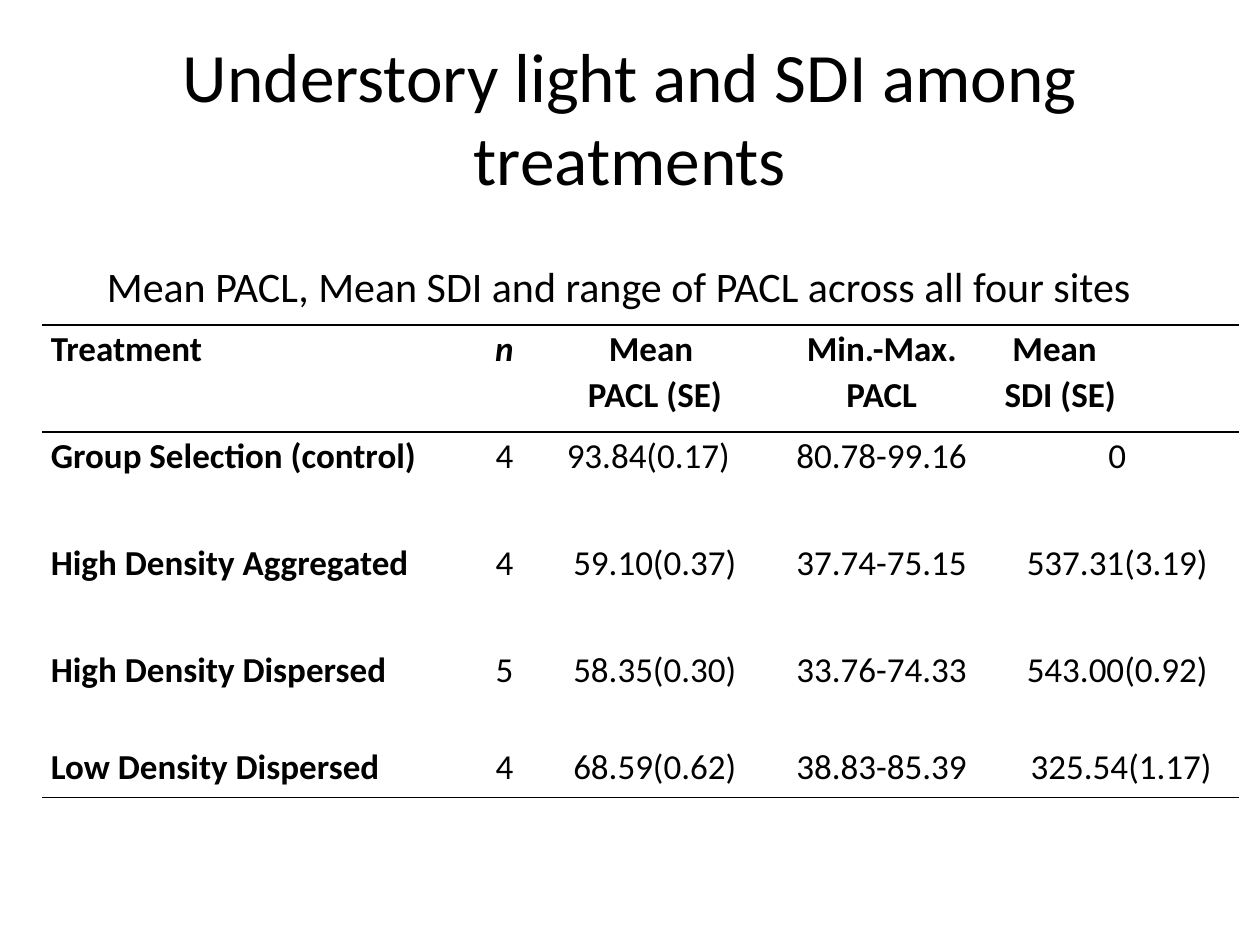
from dataclasses import dataclass

from lxml.etree import SubElement
from pptx import Presentation
from pptx.dml.color import RGBColor
from pptx.enum.text import MSO_ANCHOR as Anchor, MSO_AUTO_SIZE as AutoSize, PP_ALIGN as Align
from pptx.oxml.ns import qn
from pptx.util import Pt

COLORS = {"ink": "000000", "paper": "FFFFFF"}
FONT = "Calibri"
TABLE_SPACING = 1.07
COLUMN_WIDTHS = (242.64, 43.2, 128.88, 130.32, 138.96)
ROW_HEIGHTS = (61.2, 61.2, 61.2, 55.44, 30.96)


@dataclass(frozen=True)
class Cell:
    text: str
    align: Align = Align.CENTER
    bold: bool = False
    italic: bool = False
    indents: tuple[float, ...] = ()


@dataclass(frozen=True)
class Treatment:
    name: str
    count: str
    light: Cell
    light_range: str
    density: Cell

    def cells(self) -> list[Cell]:
        return [Cell(self.name, Align.LEFT, bold=True), Cell(self.count), self.light,
                Cell(self.light_range), self.density]


HEADER = [
    Cell("Treatment", Align.LEFT, bold=True),
    Cell("n", bold=True, italic=True),
    Cell("Mean \nPACL (SE)", bold=True),
    Cell("Min.-Max. PACL", bold=True),
    Cell("Mean\nSDI (SE)", Align.LEFT, bold=True, indents=(4.5, 0)),
]
TREATMENTS = [
    Treatment("Group Selection (control)", "4",
              Cell("93.84(0.17)", Align.LEFT, indents=(9,)), "80.78-99.16", Cell("0")),
    Treatment("High Density Aggregated", "4",
              Cell("59.10(0.37)"), "37.74-75.15", Cell("537.31(3.19)")),
    Treatment("High Density Dispersed", "5",
              Cell("58.35(0.30)"), "33.76-74.33", Cell("543.00(0.92)")),
    Treatment("Low Density Dispersed", "4",
              Cell("68.59(0.62)"), "38.83-85.39", Cell("325.54(1.17)", indents=(4.5,))),
]


def write_text(frame, text: str, *, size: float, align=Align.LEFT, bold=False,
               italic=False, spacing=1.0, indents=()) -> None:
    for index, line in enumerate(text.split("\n")):
        paragraph = frame.paragraphs[0] if index == 0 else frame.add_paragraph()
        paragraph.alignment = align
        paragraph.line_spacing = spacing
        paragraph.space_before = paragraph.space_after = Pt(0)
        if index < len(indents) and indents[index]:
            paragraph._p.get_or_add_pPr().set("marL", str(Pt(indents[index])))
        run = paragraph.add_run()
        run.text = line
        run.font.name = FONT
        run.font.size = Pt(size)
        run.font.bold = bold
        run.font.italic = italic
        run.font.color.rgb = RGBColor.from_string(COLORS["ink"])


def set_borders(table_cell, ruled_edges: str) -> None:
    """Rule the edges named by letter (T, B) and clear the others."""
    properties = table_cell._tc.get_or_add_tcPr()
    for position, edge in enumerate("LRTB"):
        line = SubElement(properties, qn(f"a:ln{edge}"), w=str(Pt(1)))
        if edge in ruled_edges:
            fill = SubElement(line, qn("a:solidFill"))
            SubElement(fill, qn("a:srgbClr"), val=COLORS["ink"])
        else:
            SubElement(line, qn("a:noFill"))
        properties.insert(position, line)  # borders precede the fill


def draw_cell(table_cell, cell: Cell, ruled_edges: str) -> None:
    table_cell.margin_left = table_cell.margin_right = Pt(5.04)
    table_cell.margin_top = table_cell.margin_bottom = Pt(0)
    table_cell.vertical_anchor = Anchor.TOP
    table_cell.fill.solid()
    table_cell.fill.fore_color.rgb = RGBColor.from_string(COLORS["paper"])
    set_borders(table_cell, ruled_edges)
    write_text(table_cell.text_frame, cell.text, size=20, align=cell.align,
               bold=cell.bold, italic=cell.italic, spacing=TABLE_SPACING,
               indents=cell.indents)


def draw_table(slide, rows: list[list[Cell]]) -> None:
    table = slide.shapes.add_table(len(rows), len(COLUMN_WIDTHS), Pt(24), Pt(185.76),
                                   Pt(sum(COLUMN_WIDTHS)), Pt(sum(ROW_HEIGHTS))).table
    table.first_row = table.horz_banding = False
    for column, width in zip(table.columns, COLUMN_WIDTHS):
        column.width = Pt(width)
    for row, height in zip(table.rows, ROW_HEIGHTS):
        row.height = Pt(height)
    ruled_rows = {0: "TB", 1: "T", len(rows) - 1: "B"}
    for row_index, cells in enumerate(rows):
        for column_index, cell in enumerate(cells):
            draw_cell(table.cell(row_index, column_index), cell,
                      ruled_rows.get(row_index, ""))


def main() -> None:
    presentation = Presentation()
    presentation.slide_width, presentation.slide_height = Pt(720), Pt(540)
    slide = presentation.slides.add_slide(presentation.slide_layouts[5])

    # Title
    title = slide.shapes.title
    title.left, title.top, title.width, title.height = Pt(36), Pt(21.6), Pt(648), Pt(90)
    title.text_frame.auto_size = AutoSize.NONE
    title.text_frame.vertical_anchor = Anchor.MIDDLE
    write_text(title.text_frame, "Understory light and SDI among treatments",
               size=39.6, align=Align.CENTER)

    # Results table
    draw_table(slide, [HEADER] + [treatment.cells() for treatment in TREATMENTS])

    # Table caption
    caption = slide.shapes.add_textbox(Pt(54), Pt(143.28), Pt(617.76), Pt(36.72))
    caption.text_frame.word_wrap = False
    caption.text_frame.auto_size = AutoSize.SHAPE_TO_FIT_TEXT
    write_text(caption.text_frame,
               "Mean PACL, Mean SDI and range of PACL across all four sites",
               size=24, spacing=TABLE_SPACING)

    presentation.save("out.pptx")


if __name__ == "__main__":
    main()
